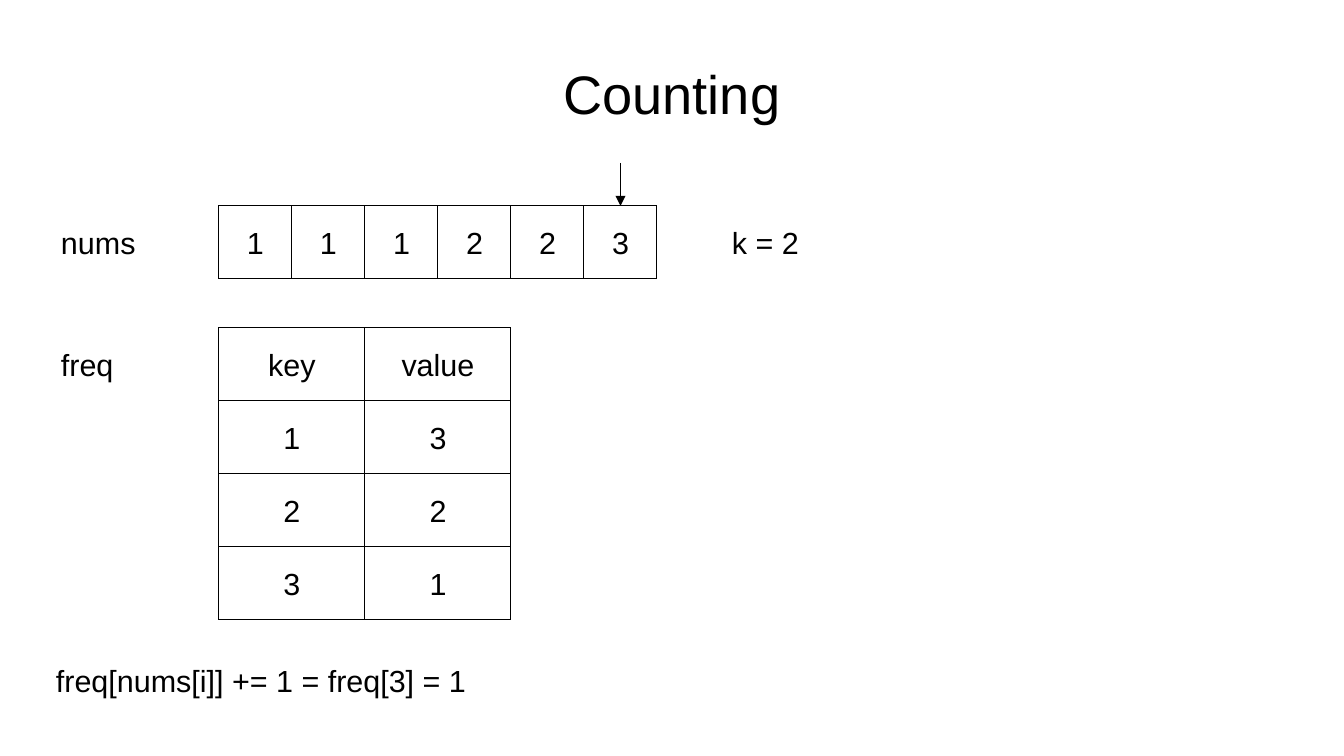
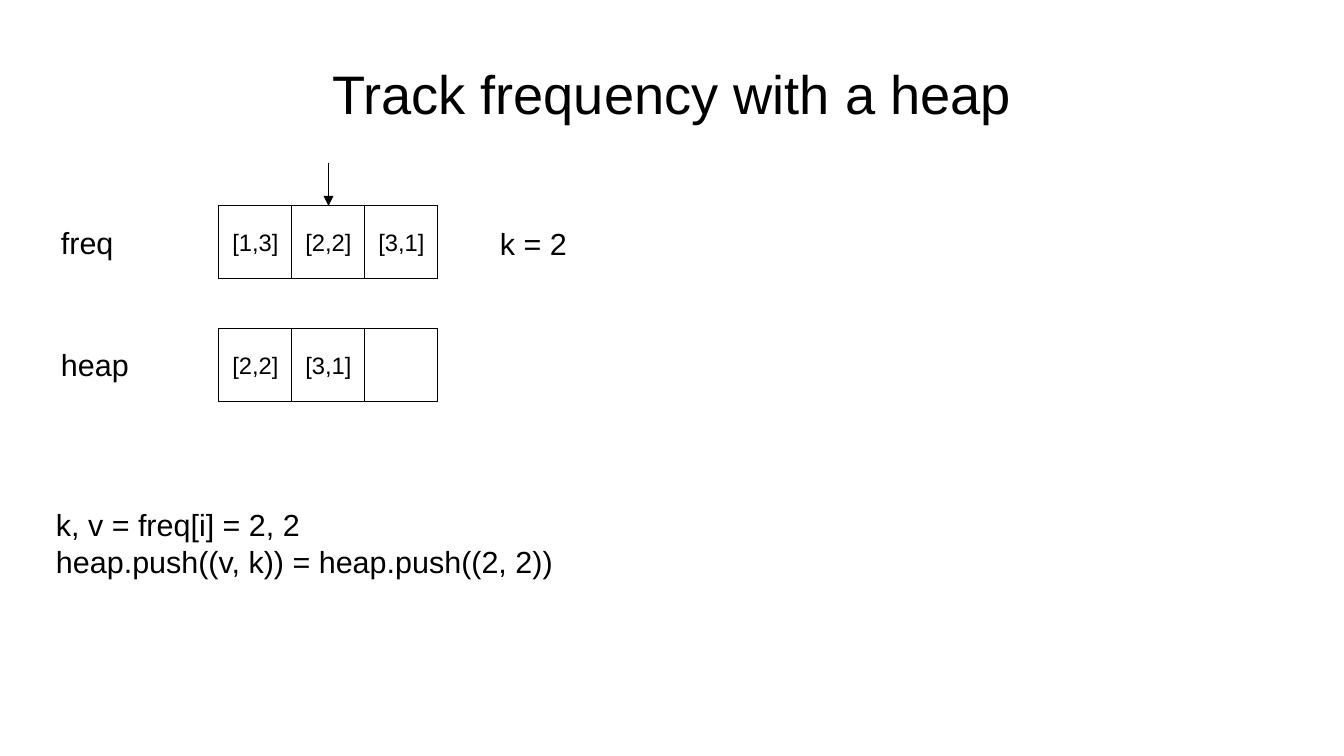
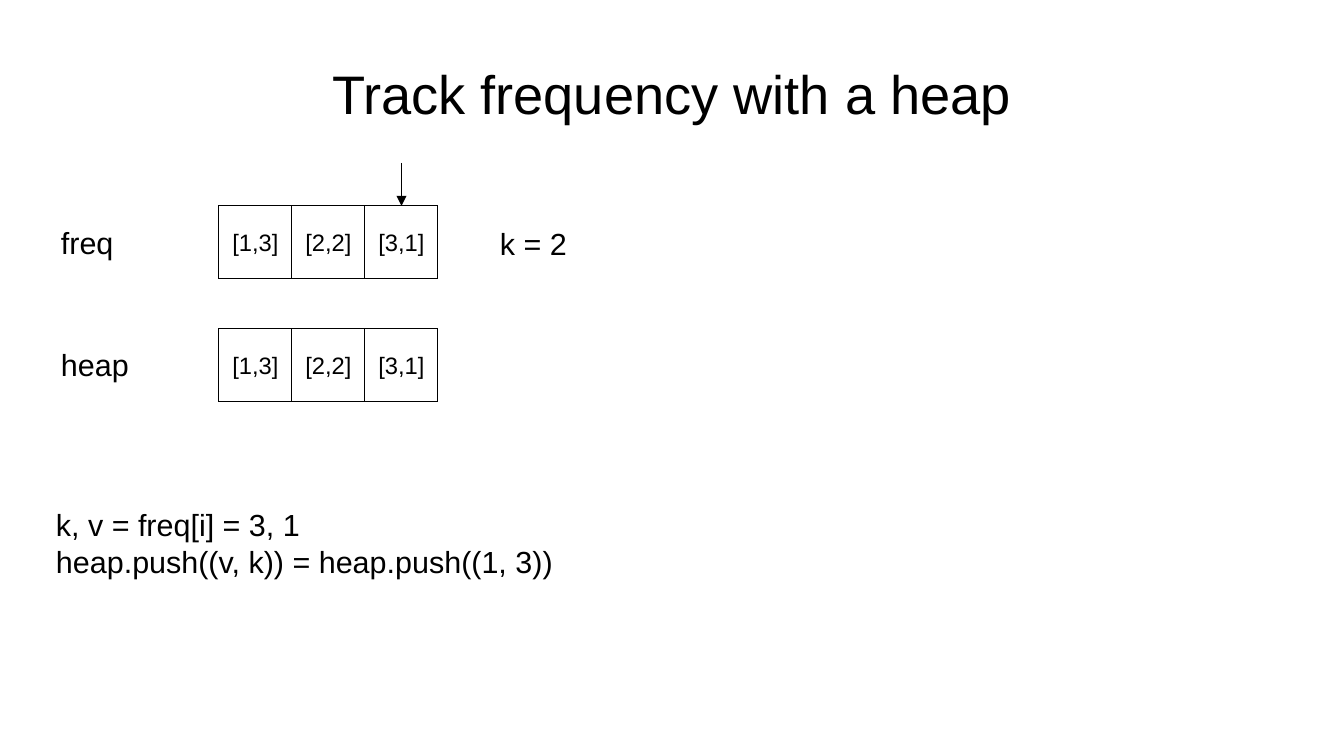
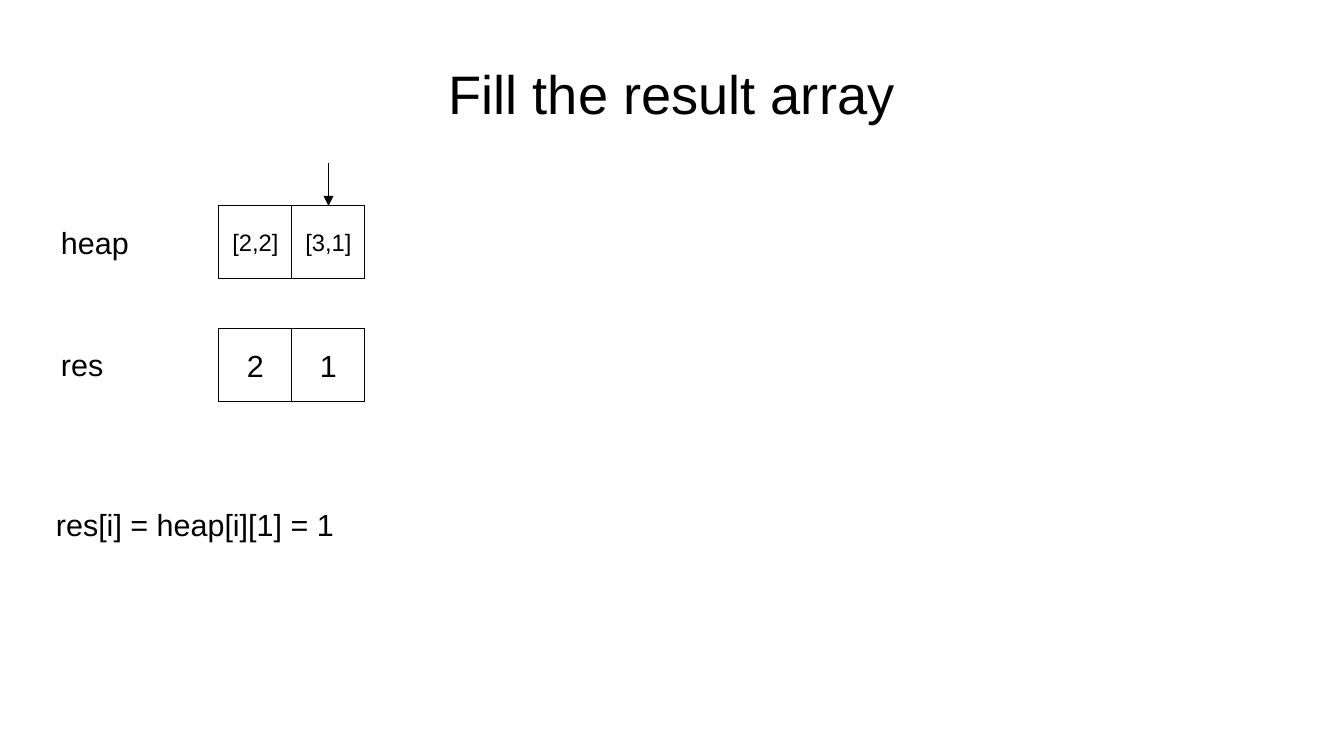
from lxml.etree import SubElement
from pptx import Presentation
from pptx.dml.color import RGBColor
from pptx.enum.shapes import MSO_CONNECTOR, MSO_SHAPE
from pptx.enum.text import MSO_ANCHOR, PP_ALIGN
from pptx.oxml.ns import qn
from pptx.util import Emu, Pt

EMU_PER_PX = 7495
SLIDE_W, SLIDE_H = 1344, 756
BLACK, WHITE = "000000", "FFFFFF"
FONT = "Arial"
TITLE_SIZE, BODY_SIZE, PAIR_SIZE = 32, 18, 14

CELL = 73
LABEL_X, LABEL_W, LABEL_H = 49, 122, 49
TOP_LABEL_Y, LOWER_LABEL_Y = 218, 340
ARRAY_X, TOP_ROW_Y, MAP_Y, LOWER_ROW_Y = 219, 206, 328, 329
ARROW_LENGTH = 43
CODE_X, CODE_Y, CODE_H = 44, 500, 98


def px(length):
    return Emu(length * EMU_PER_PX)


def color(value):
    return RGBColor.from_string(value)


def box(x, y, width, height):
    return px(x), px(y), px(width), px(height)


def write(frame, lines, size, align=PP_ALIGN.LEFT):
    """Put each line in its own paragraph of the text frame."""
    for index, line in enumerate(lines):
        paragraph = frame.add_paragraph() if index else frame.paragraphs[0]
        paragraph.alignment = align
        run = paragraph.add_run()
        run.text = line
        run.font.name = FONT
        run.font.size = Pt(size)
        run.font.color.rgb = color(BLACK)


def add_text(slide, bounds, *lines):
    frame = slide.shapes.add_textbox(*box(*bounds)).text_frame
    frame.word_wrap = True
    write(frame, lines, BODY_SIZE)


def add_title(slide, title):
    frame = slide.shapes.add_textbox(*box(67, 30, 1210, 126)).text_frame
    frame.word_wrap = True
    frame.vertical_anchor = MSO_ANCHOR.MIDDLE
    frame.margin_left = frame.margin_right = 0
    frame.margin_top = frame.margin_bottom = 0
    write(frame, [title], TITLE_SIZE, PP_ALIGN.CENTER)


def add_label(slide, y, label, x=LABEL_X):
    add_text(slide, (x, y, LABEL_W, LABEL_H), label)


def outline_thinly(shape):
    """Drop the theme style, so that the black line keeps the default width."""
    shape._element.remove(shape._element.find(qn("p:style")))
    shape.line.color.rgb = color(BLACK)


def add_cell(slide, bounds, value, size):
    cell = slide.shapes.add_shape(MSO_SHAPE.RECTANGLE, *box(*bounds))
    cell.shadow.inherit = False
    cell.fill.solid()
    cell.fill.fore_color.rgb = color(WHITE)
    outline_thinly(cell)
    if value:
        frame = cell.text_frame
        frame.word_wrap = False
        frame.vertical_anchor = MSO_ANCHOR.MIDDLE
        write(frame, [value], size, PP_ALIGN.CENTER)
    return cell


def add_row(slide, y, values, size=PAIR_SIZE, width=CELL):
    """Draw touching cells from left to right and return them."""
    return [add_cell(slide, (ARRAY_X + index * width, y, width, CELL),
                     value, size)
            for index, value in enumerate(values)]


def add_pointer(slide, cell):
    """Draw an arrow down to the middle of the cell's top side."""
    x = cell.left + cell.width // 2
    arrow = slide.shapes.add_connector(
        MSO_CONNECTOR.STRAIGHT, x, cell.top - px(ARROW_LENGTH), x, cell.top)
    arrow.end_connect(cell, 0)
    outline_thinly(arrow)
    SubElement(arrow.line._get_or_add_ln(), qn("a:tailEnd"), type="triangle")
    SubElement(arrow._element.spPr, qn("a:effectLst"))


def new_slide(deck, title, top_label, lower_label):
    slide = deck.slides.add_slide(deck.slide_layouts[6])
    add_title(slide, title)
    add_label(slide, TOP_LABEL_Y, top_label)
    add_label(slide, LOWER_LABEL_Y, lower_label)
    return slide


def build_counting(deck):
    slide = new_slide(deck, "Counting", "nums", "freq")
    nums = add_row(slide, TOP_ROW_Y, "111223", BODY_SIZE)
    add_pointer(slide, nums[5])
    add_label(slide, TOP_LABEL_Y, "k = 2", x=720)
    freq = [("key", "value"), ("1", "3"), ("2", "2"), ("3", "1")]
    for index, entry in enumerate(freq):
        add_row(slide, MAP_Y + index * CELL, entry, BODY_SIZE, 2 * CELL)
    add_text(slide, (CODE_X, 656, 468, 62), "freq[nums[i]] += 1 = freq[3] = 1")


def build_heap_step(deck, index, heap, *code):
    slide = new_slide(deck, "Track frequency with a heap", "freq", "heap")
    freq = add_row(slide, TOP_ROW_Y, ["[1,3]", "[2,2]", "[3,1]"])
    add_pointer(slide, freq[index])
    add_label(slide, TOP_LABEL_Y + 1, "k = 2", x=488)
    add_row(slide, LOWER_ROW_Y, heap)
    add_text(slide, (CODE_X, CODE_Y, 554, CODE_H), *code)


def build_result(deck):
    slide = new_slide(deck, "Fill the result array", "heap", "res")
    heap = add_row(slide, TOP_ROW_Y, ["[2,2]", "[3,1]"])
    add_pointer(slide, heap[1])
    add_row(slide, LOWER_ROW_Y, "21", BODY_SIZE)
    add_text(slide, (CODE_X, CODE_Y, 908, CODE_H), "res[i] = heap[i][1] = 1")


def main():
    deck = Presentation()
    deck.slide_width, deck.slide_height = px(SLIDE_W), px(SLIDE_H)
    build_counting(deck)
    build_heap_step(deck, 1, ["[2,2]", "[3,1]", ""],
                    "k, v = freq[i] = 2, 2",
                    "heap.push((v, k)) = heap.push((2, 2))")
    build_heap_step(deck, 2, ["[1,3]", "[2,2]", "[3,1]"],
                    "k, v = freq[i] = 3, 1",
                    "heap.push((v, k)) = heap.push((1, 3))")
    build_result(deck)
    deck.save("out.pptx")


if __name__ == "__main__":
    main()
